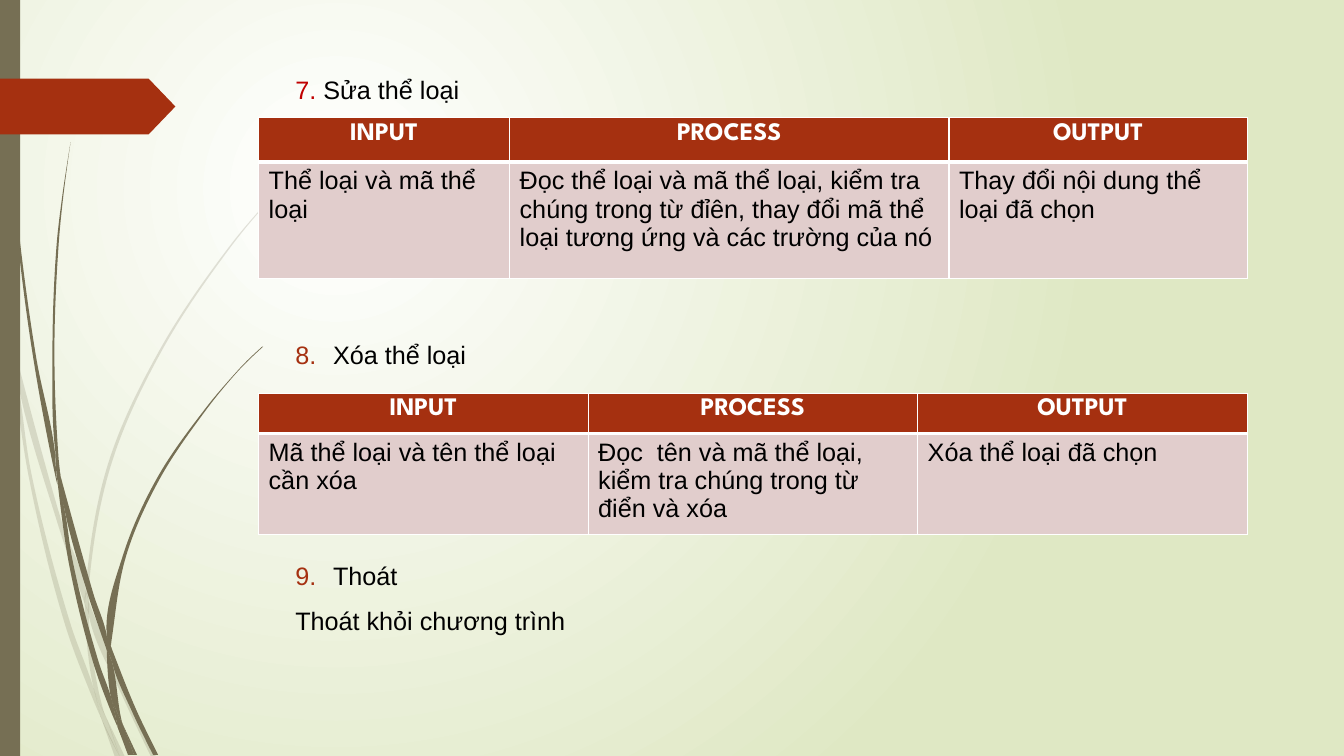
import pptx
import pptx.dml.color
import pptx.enum.shapes
import pptx.enum.text
import pptx.oxml
import pptx.oxml.ns
import pptx.util
import lxml.etree
import math

Pt = pptx.util.Pt
qn = pptx.oxml.ns.qn
SHAPES = pptx.enum.shapes.MSO_SHAPE
RUST, OLIVE, PINK, WHITE, BLACK = "A53010", "766F54", "E1CDCC", "FFFFFF", "000000"
NAMESPACE = 'xmlns:a="http://schemas.openxmlformats.org/drawingml/2006/main"'


def paint(target, color):
    """Give a shape or a table cell a plain fill, or a font its colour."""
    if hasattr(target, "fill") and not hasattr(target, "bold"):
        target.fill.solid()
        target.fill.fore_color.rgb = pptx.dml.color.RGBColor.from_string(color)
    else:
        target.color.rgb = pptx.dml.color.RGBColor.from_string(color)
    if hasattr(target, "shadow"):
        target.shadow.inherit = False
        target.line.fill.background()


def add_run(paragraph, text, **changes):
    run = paragraph.add_run()
    run.text = text
    values = {"name": "Arial", "size": Pt(18), "bold": False} | changes
    color = values.pop("color", BLACK)
    for name, value in values.items():
        setattr(run.font, name, value)
    paint(run.font, color)


presentation = pptx.Presentation()
presentation.slide_width, presentation.slide_height = Pt(960), Pt(540)
slide = presentation.slides.add_slide(presentation.slide_layouts[6])

# Background: light spot in the upper left, green outwards
slide.background.fill.gradient()
gradient = slide.background.fill._fill._gradFill
for child in list(gradient):
    gradient.remove(child)
for part in pptx.oxml.parse_xml(
        f'<a:gradFill {NAMESPACE}><a:gsLst>'
        '<a:gs pos="0"><a:srgbClr val="FFFFFF"/></a:gs>'
        '<a:gs pos="100000"><a:srgbClr val="DFE8C4"/></a:gs></a:gsLst>'
        '<a:path path="circle"><a:fillToRect l="50000" t="50000" r="100000" b="100000"/>'
        '</a:path></a:gradFill>'):
    gradient.append(part)

# Grass: pieces of the pale and the dark tuft, outline nodes in units of 0.72 pt
pale_tuft = [
    [(11, 350), (9, 322), (0, 282), (0, 299), (10, 344)],
    [(58, 522), (84, 599), (85, 586), (62, 520), (14, 345), (17, 376)],
    [(92, 607), (88, 596), (88, 610), (123, 694), (150, 751), (155, 751), (127, 692)],
    [(119, 751), (124, 751), (105, 711)],
    [(93, 683), (70, 619), (31, 469), (17, 376), (11, 350), (28, 470), (65, 621),
     (92, 693), (101, 714), (99, 707)],
    [(84, 599), (87, 646), (93, 683), (96, 692), (105, 711), (103, 706), (91, 646),
     (88, 610), (88, 608)],
    [(88, 584), (110, 462), (160, 349), (229, 245), (268, 198), (290, 175), (312, 154),
     (312, 153), (289, 175), (268, 197), (228, 244), (158, 348), (107, 461), (85, 584),
     (85, 586), (88, 596)],
    [(101, 714), (114, 751), (119, 751)],
    [(88, 608), (88, 610), (88, 596), (85, 586), (84, 599)],
    [(96, 692), (93, 683), (99, 707), (101, 714), (119, 751), (105, 711)],
]
dark_tuft = [
    [(7, 110), (17, 233), (33, 355), (56, 477), (57, 481), (55, 457), (55, 453), (36, 355),
     (19, 232), (8, 109), (5, 48), (4, 0), (3, 0), (4, 48)],
    [(88, 592), (106, 645), (106, 633), (106, 631), (93, 590), (60, 472), (64, 505)],
    [(113, 649), (110, 641), (111, 656), (132, 708), (152, 749), (157, 749), (136, 706)],
    [(110, 691), (98, 657), (72, 556), (64, 505), (57, 477), (68, 557), (93, 659),
     (111, 708), (117, 722), (116, 717)],
    [(60, 472), (58, 453), (54, 349), (58, 245), (63, 193), (70, 141), (62, 193),
     (56, 245), (52, 349), (55, 449)],
    [(133, 749), (136, 749), (122, 719)],
    [(57, 477), (64, 505), (60, 472), (55, 449), (55, 453)],
    [(111, 633), (125, 552), (158, 476), (205, 406), (231, 374), (245, 359), (261, 344),
     (260, 344), (245, 358), (231, 373), (204, 405), (156, 474), (122, 551), (106, 631),
     (110, 641)],
    [(117, 722), (127, 749), (131, 749)],
    [(106, 645), (110, 691), (116, 706), (122, 719), (121, 716), (111, 656), (109, 651)],
    [(106, 645), (109, 651), (111, 656), (110, 641), (106, 631), (106, 633)],
    [(116, 706), (110, 691), (116, 717), (117, 722), (130, 749), (133, 749), (122, 719)],
]
for opacity, tuft in ((20, pale_tuft), (100, dark_tuft)):
    group = slide.shapes.add_group_shape()
    for piece in tuft:
        nodes = [(Pt(0.72 * x), Pt(0.72 * y)) for x, y in piece]
        builder = group.shapes.build_freeform(*nodes[0])
        builder.add_line_segments(nodes[1:] + nodes[:1])
        blade = builder.convert_to_shape()
        paint(blade, OLIVE)
        if opacity < 100:
            color = blade.fill._xPr.find(qn("a:solidFill"))[0]
            lxml.etree.SubElement(color, qn("a:alpha")).set("val", str(opacity * 1000))

        # A node where the outline turns little gets a tangent, the others stay corners
        tangents = []
        for before, node, after in zip(nodes[-1:] + nodes, nodes, nodes[1:] + nodes[:1]):
            turn = (math.atan2(after[1] - node[1], after[0] - node[0])
                    - math.atan2(node[1] - before[1], node[0] - before[0]))
            turn = math.remainder(turn, 2 * math.pi)
            angle = math.atan2(after[1] - node[1], after[0] - node[0]) - turn / 2
            bend = 1 if abs(turn) < 0.6 else 0
            tangents.append((bend * math.cos(angle), bend * math.sin(angle)))
        left, top = (min(values) for values in zip(*nodes))
        segments = list(blade._element.iter(qn("a:lnTo")))
        for index, segment in enumerate(segments):
            following = (index + 1) % len(nodes)
            start, end = nodes[index], nodes[following]
            reach = math.dist(start, end) / 3
            for (x, y), (dx, dy), sign in ((start, tangents[index], 1),
                                           (end, tangents[following], -1)):
                control = lxml.etree.Element(qn("a:pt"))
                control.set("x", str(round(x + sign * reach * dx - left)))
                control.set("y", str(round(y + sign * reach * dy - top)))
                segment.insert(len(segment) - 1, control)
            curve = lxml.etree.Element(qn("a:cubicBezTo"))
            curve.extend(list(segment))
            segment.getparent().replace(segment, curve)

# Side bar and arrow tag
bar = slide.shapes.add_shape(SHAPES.RECTANGLE, 0, 0, Pt(14.4), Pt(540))
paint(bar, OLIVE)
tag = slide.shapes.add_shape(SHAPES.PENTAGON, 0, Pt(56.2), Pt(125.3), Pt(39.8))
tag.adjustments[0] = 0.48
paint(tag, RUST)

# Numbered headings: text, list number, space before
box = slide.shapes.add_textbox(Pt(203.8), Pt(49.6), Pt(702), Pt(416))
frame = box.text_frame
frame.word_wrap = True
headings = [("Sửa thể loại", None, 0), ("Xóa thể loại", 8, 167.9),
            ("Thoát", 9, 135.8), ("Thoát khỏi chương trình", None, 10.7)]
for index, (text, number, gap) in enumerate(headings):
    paragraph = frame.paragraphs[0] if index == 0 else frame.add_paragraph()
    paragraph.space_before = Pt(gap)
    if index == 0:
        add_run(paragraph, "7. ", color="C00000")
    if number:
        properties = paragraph._p.get_or_add_pPr()
        properties.set("marL", str(Pt(27)))
        properties.set("indent", str(-Pt(27)))
        bullet_color = lxml.etree.SubElement(properties, qn("a:buClr"))
        lxml.etree.SubElement(bullet_color, qn("a:srgbClr")).set("val", RUST)
        numbering = lxml.etree.SubElement(properties, qn("a:buAutoNum"))
        numbering.set("type", "arabicPeriod")
        numbering.set("startAt", str(number))
    add_run(paragraph, text)

# Tables: top, column widths, row heights, body row
header = ["INPUT", "PROCESS", "OUTPUT"]
tables = [
    (84, [179.3, 313.9, 213.1], [31.7, 83.5],
     ["Thể loại và mã thể loại",
      "Đọc thể loại và mã thể loại, kiểm tra chúng trong từ đỉên, "
      "thay đổi mã thể loại tương ứng và các trường của nó",
      "Thay đổi nội dung thể loại đã chọn"]),
    (280.8, [235.4] * 3, [21.6, 29.5],
     ["Mã thể loại và tên thể loại cần xóa",
      "Đọc  tên và mã thể loại, kiểm tra chúng trong từ điển và xóa",
      "Xóa thể loại đã chọn"]),
]
styles = [
    {"fill": RUST, "align": pptx.enum.text.PP_ALIGN.CENTER,
     "font": {"name": "League Spartan", "bold": True, "color": WHITE},
     "borders": {"lnL": 1, "lnR": 1, "lnT": 1, "lnB": 3}},
    {"fill": PINK, "align": pptx.enum.text.PP_ALIGN.LEFT, "font": {},
     "borders": {"lnL": 1, "lnR": 1, "lnT": 3, "lnB": 1}},
]
for top, widths, heights, body in tables:
    table = slide.shapes.add_table(2, 3, Pt(184.7), Pt(top), Pt(sum(widths)),
                                   Pt(sum(heights))).table
    table.horz_banding = False
    for column, width in zip(table.columns, widths):
        column.width = Pt(width)
    for row, height, texts, style in zip(table.rows, heights, (header, body), styles):
        row.height = Pt(height)
        for cell, text in zip(row.cells, texts):
            paint(cell, style["fill"])
            paragraph = cell.text_frame.paragraphs[0]
            paragraph.alignment = style["align"]
            add_run(paragraph, text, **style["font"])
            for place, (side, width) in enumerate(style["borders"].items()):
                cell._tc.get_or_add_tcPr().insert(place, pptx.oxml.parse_xml(
                    f'<a:{side} {NAMESPACE} w="{Pt(width)}"><a:solidFill>'
                    f'<a:srgbClr val="{WHITE}"/></a:solidFill></a:{side}>'))

presentation.save("out.pptx")
